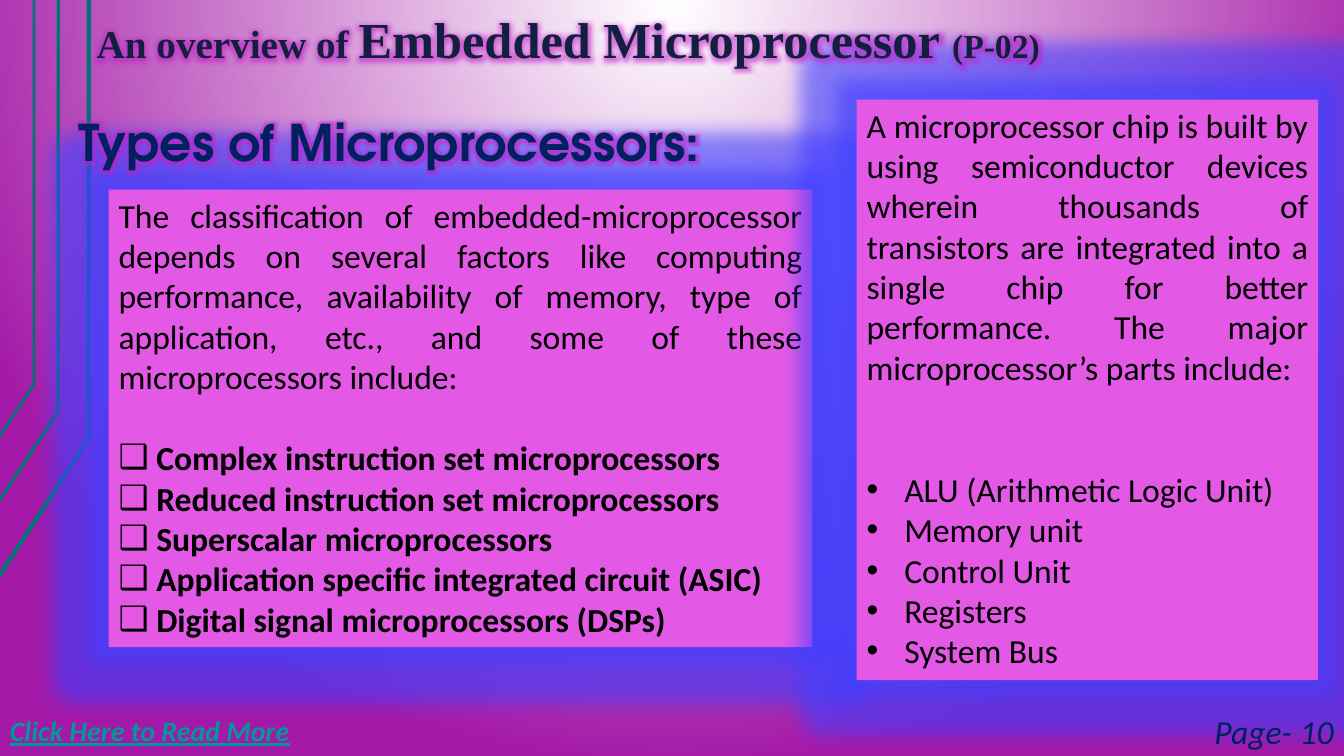
from lxml.etree import SubElement
from pptx import Presentation
from pptx.dml.color import RGBColor
from pptx.enum.shapes import MSO_SHAPE
from pptx.enum.text import MSO_ANCHOR, PP_ALIGN
from pptx.oxml.ns import qn
from pptx.util import Cm, Pt

WIDE, HIGH = 33.87, 19.05
NAVY, TEAL, PINK = "002060", "007373", "E359E6"
BODY = dict(name="Calibri", size=24, color="000000")
HEAD = dict(name="Times New Roman", color="131F3E", bold=True)
BOX_GLOW = ("4040FF", 0.95, 60)  # colour, radius in cm, opacity in percent
TEXT_GLOW = ("C020C8", 0.35, 60)

# bend x, bend y, foot x, foot y, line width
TRACES = [
    (2.24, 11.05, -0.03, 14.53, 3),
    (1.47, 10.36, -0.05, 12.67, 2.25),
    (0.86, 9.68, -0.03, 11.02, 2),
]

# place, alignment, wrap, glow, runs
LABELS = [
    ((2.18, 0.08, 24.28, 1.8), PP_ALIGN.CENTER, True, TEXT_GLOW, [
        ("An overview of ", HEAD | dict(size=28)),
        ("Embedded Microprocessor ", HEAD | dict(size=36)),
        ("(P-02)", HEAD | dict(size=24))]),
    ((-0.86, 2.67, 21.34, 1.8), PP_ALIGN.CENTER, True, TEXT_GLOW, [
        ("Types of Microprocessors:",
         dict(name="TeX Gyre Adventor", size=36, color=NAVY, bold=True))]),
    ((16.51, 17.78, 17.35, 1.27), PP_ALIGN.RIGHT, True, None, [
        ("Page- 10", BODY | dict(color=NAVY, italic=True))]),
    ((0, 17.86, 7.62, 1.12), PP_ALIGN.LEFT, False, None, [
        ("Click Here to Read More",
         dict(name="Calibri", size=20, color="009999", bold=True,
              italic=True, underline=True))]),
]

# place, intro, gap before the list in points, bullet, bold list, items
PANELS = [
    ((2.74, 4.78, 17.73, 11.53),
     "The classification of embedded-microprocessor depends on several "
     "factors like computing performance, availability of memory, type of "
     "application, etc., and some of these microprocessors include:",
     29.3, "❑", True,
     ["Complex instruction set microprocessors",
      "Reduced instruction set microprocessors",
      "Superscalar microprocessors",
      "Application specific integrated circuit (ASIC)",
      "Digital signal microprocessors (DSPs)"]),
    ((21.59, 2.51, 11.63, 14.63),
     "A microprocessor chip is built by using semiconductor devices wherein "
     "thousands of transistors are integrated into a single chip for better "
     "performance. The major microprocessor’s parts include:",
     58.6, "•", False,
     ["ALU (Arithmetic Logic Unit)", "Memory unit", "Control Unit",
      "Registers", "System Bus"]),
]


def rgb(code):
    return RGBColor.from_string(code)


def add_glow(effects, glow):
    code, radius, alpha = glow
    node = SubElement(effects, qn("a:glow"), rad=str(Cm(radius)))
    tint = SubElement(node, qn("a:srgbClr"), val=code)
    SubElement(tint, qn("a:alpha"), val=str(alpha * 1000))


def add_run(para, text, style, glow=None):
    run = para.add_run()
    run.text = text
    for key, value in style.items():
        if key == "color":
            run.font.color.rgb = rgb(value)
        else:
            setattr(run.font, key, Pt(value) if key == "size" else value)
    if glow:
        props = run.font._element
        effects = SubElement(props, qn("a:effectLst"))
        add_glow(effects, glow)
        props.find(qn("a:solidFill")).addnext(effects)


def add_bullet(para, mark):
    props = para._p.get_or_add_pPr()
    props.set("marL", str(Cm(0.95)))
    props.set("indent", str(-Cm(0.95)))
    SubElement(props, qn("a:buFont"), typeface="Arial")
    SubElement(props, qn("a:buChar"), char=mark)


def paint_back(slide):
    """Fill the background with a glow of white from the top centre."""
    fill = slide.background.fill
    fill.gradient()
    for stop, code in zip(fill.gradient_stops, ("FFFFFF", "A419A7")):
        stop.color.rgb = rgb(code)
    grad = next(slide.element.iter(qn("a:gradFill")))
    for line in grad.findall(qn("a:lin")):
        grad.remove(line)
    ring = SubElement(grad, qn("a:path"), path="circle")
    SubElement(ring, qn("a:fillToRect"),
               l="50000", t="-80000", r="50000", b="180000")


def add_trace(shapes, x, y, foot_x, foot_y, width):
    pen = shapes.build_freeform(Cm(foot_x), Cm(foot_y))
    pen.add_line_segments([(Cm(x), Cm(y)), (Cm(x), 0)], close=False)
    trace = pen.convert_to_shape()
    trace.shadow.inherit = False
    trace.fill.background()
    trace.line.color.rgb = rgb(TEAL)
    trace.line.width = Pt(width)


def add_label(shapes, place, align, wrap, glow, runs):
    frame = shapes.add_textbox(*map(Cm, place)).text_frame
    frame.word_wrap = wrap
    para = frame.paragraphs[0]
    para.alignment = align
    for text, style in runs:
        add_run(para, text, style, glow)


def add_panel(shapes, place, intro, gap, mark, bold, items):
    panel = shapes.add_shape(MSO_SHAPE.RECTANGLE, *map(Cm, place))
    panel.fill.solid()
    panel.fill.fore_color.rgb = rgb(PINK)
    panel.line.fill.background()
    panel.shadow.inherit = False
    add_glow(panel._element.spPr.find(qn("a:effectLst")), BOX_GLOW)
    frame = panel.text_frame
    frame.word_wrap = True
    frame.vertical_anchor = MSO_ANCHOR.TOP
    para = frame.paragraphs[0]
    para.alignment = PP_ALIGN.JUSTIFY
    add_run(para, intro, BODY)
    for index, item in enumerate(items):
        para = frame.add_paragraph()
        para.alignment = PP_ALIGN.LEFT
        if index == 0:
            para.space_before = Pt(gap)
        add_bullet(para, mark)
        add_run(para, item, BODY | dict(bold=bold))


def main():
    deck = Presentation()
    deck.slide_width, deck.slide_height = Cm(WIDE), Cm(HIGH)
    slide = deck.slides.add_slide(deck.slide_layouts[6])
    paint_back(slide)
    for add, rows in ((add_trace, TRACES), (add_panel, PANELS),
                      (add_label, LABELS)):
        for row in rows:
            add(slide.shapes, *row)
    deck.save("out.pptx")


if __name__ == "__main__":
    main()
